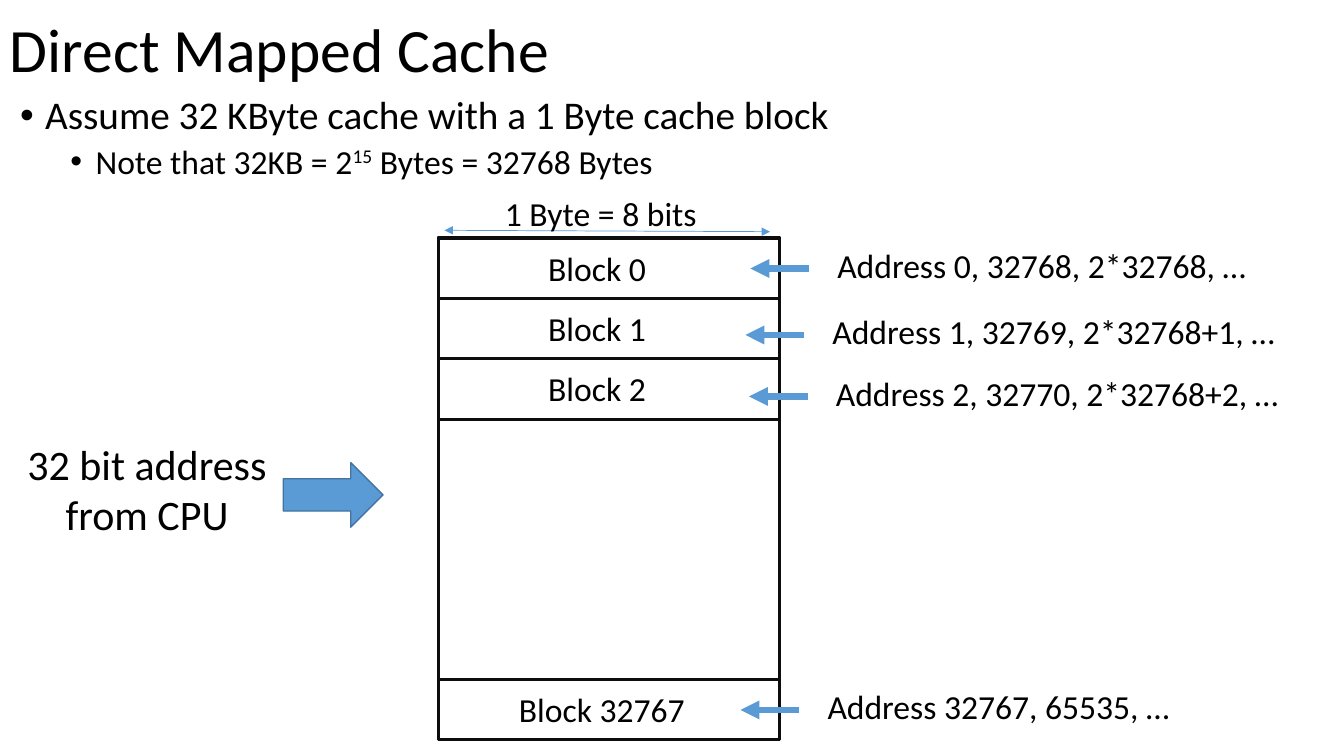
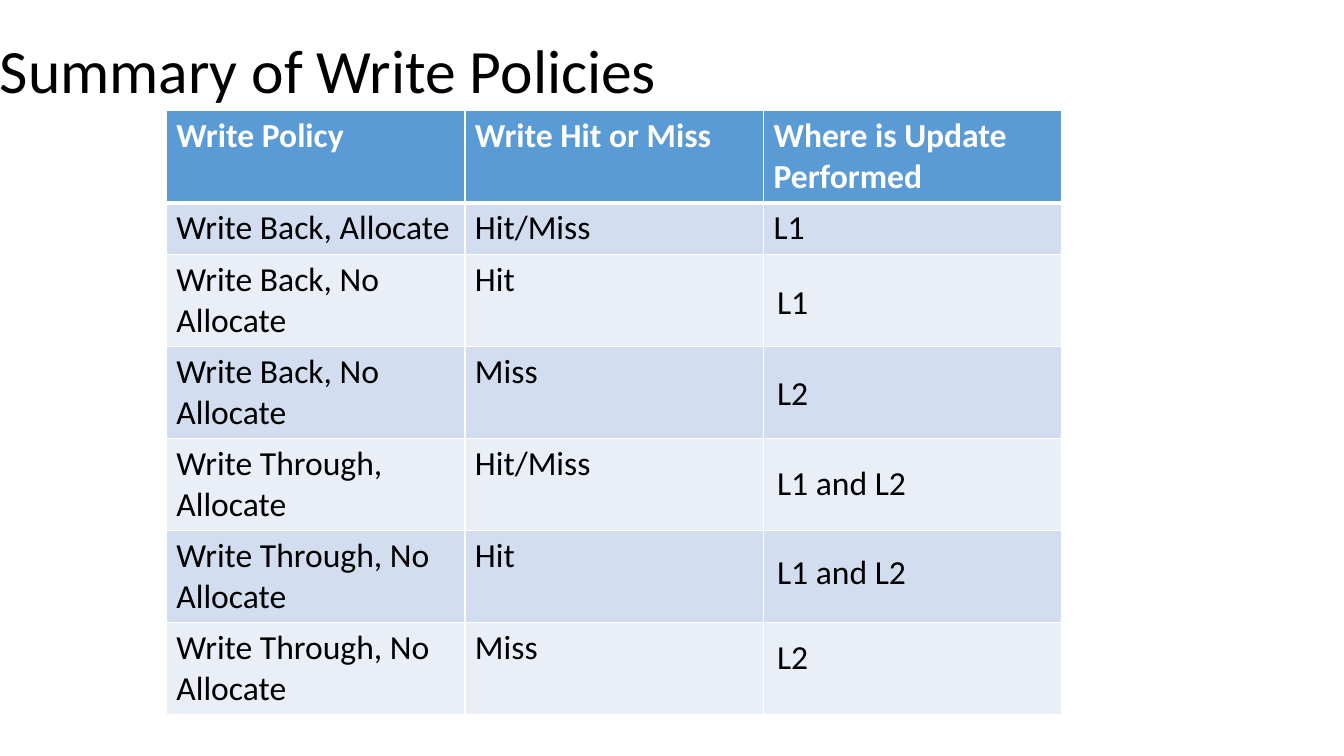
from dataclasses import dataclass

from lxml import etree
from pptx import Presentation
from pptx.dml.color import RGBColor
from pptx.enum.shapes import MSO_CONNECTOR, MSO_SHAPE
from pptx.enum.text import MSO_ANCHOR, MSO_AUTO_SIZE, PP_ALIGN
from pptx.oxml.ns import qn
from pptx.util import Pt

STRAIGHT = MSO_CONNECTOR.STRAIGHT
RECTANGLE, RIGHT_ARROW = MSO_SHAPE.RECTANGLE, MSO_SHAPE.RIGHT_ARROW
TOP, MIDDLE = MSO_ANCHOR.TOP, MSO_ANCHOR.MIDDLE
FIT_SHAPE, NO_FIT = MSO_AUTO_SIZE.SHAPE_TO_FIT_TEXT, MSO_AUTO_SIZE.NONE
LEFT, CENTER = PP_ALIGN.LEFT, PP_ALIGN.CENTER

LABEL_HEIGHT = 36


@dataclass(frozen=True)
class Theme:
    font: str = "Calibri"
    text: str = "000000"
    white: str = "FFFFFF"
    accent: str = "5B9BD5"
    accent_edge: str = "43739E"
    outline: str = "0D0D0D"
    bands: tuple = ("D2DEEF", "EAEFF7")
    title_size: float = 44
    callout_size: float = 30
    bullet_sizes: tuple = (28, 24)
    label_size: float = 24


def rgb(value):
    return RGBColor.from_string(value)


class Deck:
    """Holds the theme, the presentation and the slide being filled."""

    def __init__(self, theme):
        self.theme = theme
        self.presentation = Presentation()
        self.presentation.slide_width = Pt(960)
        self.presentation.slide_height = Pt(540)
        self.slide = None

    def new_slide(self, title, left, top):
        blank = self.presentation.slide_layouts[6]
        self.slide = self.presentation.slides.add_slide(blank)
        frame = self.frame(left, top, 828, 104.4, anchor=MIDDLE)
        paragraph = frame.paragraphs[0]
        paragraph.line_spacing = 0.9
        self.run(paragraph, title, self.theme.title_size)

    def frame(self, left, top, width, height, wrap=True, anchor=TOP):
        box = self.slide.shapes.add_textbox(Pt(left), Pt(top), Pt(width), Pt(height))
        frame = box.text_frame
        frame.word_wrap = wrap
        frame.auto_size = NO_FIT if wrap else FIT_SHAPE
        frame.vertical_anchor = anchor
        return frame

    def run(self, paragraph, text, size, color=None, bold=False, raised=False):
        run = paragraph.add_run()
        run.text = text
        font = run.font
        font.name, font.size, font.bold = self.theme.font, Pt(size), bold
        font.color.rgb = rgb(color or self.theme.text)
        if raised:
            run._r.get_or_add_rPr().set("baseline", "30000")

    def label(self, lines, left, top, width, height=LABEL_HEIGHT, size=None, align=LEFT):
        frame = self.frame(left, top, width, height, wrap=False)
        for index, line in enumerate(lines):
            paragraph = frame.add_paragraph() if index else frame.paragraphs[0]
            paragraph.alignment = align
            self.run(paragraph, line, size or self.theme.label_size)

    def bullets(self, items, left, top, width, height):
        """Each item is (level, [(text, raised), ...])."""
        frame = self.frame(left, top, width, height)
        for index, (level, runs) in enumerate(items):
            paragraph = frame.add_paragraph() if index else frame.paragraphs[0]
            paragraph.level = level
            paragraph.line_spacing = 0.9
            paragraph.space_before = Pt((10, 5)[level])
            properties = paragraph._p.get_or_add_pPr()
            properties.set("marL", str(Pt(18 + 36 * level)))
            properties.set("indent", str(Pt(-18)))
            etree.SubElement(properties, qn("a:buFont"), typeface="Arial")
            etree.SubElement(properties, qn("a:buChar"), char="•")
            for text, raised in runs:
                self.run(paragraph, text, self.theme.bullet_sizes[level], raised=raised)

    def shape(self, kind, left, top, width, height, line, weight, fill=None):
        shape = self.slide.shapes.add_shape(kind, Pt(left), Pt(top), Pt(width), Pt(height))
        shape.shadow.inherit = False
        if fill:
            shape.fill.solid()
            shape.fill.fore_color.rgb = rgb(fill)
        else:
            shape.fill.background()
        shape.line.color.rgb = rgb(line)
        shape.line.width = Pt(weight)

    def arrow(self, start, end, weight, ends=("tailEnd",)):
        connector = self.slide.shapes.add_connector(STRAIGHT, *map(Pt, start + end))
        connector.line.color.rgb = rgb(self.theme.accent)
        connector.line.width = Pt(weight)
        line = connector.line._get_or_add_ln()
        for end_name in ends:
            etree.SubElement(line, qn(f"a:{end_name}"), type="triangle")
        etree.SubElement(connector._element.spPr, qn("a:effectLst"))

    def cell_borders(self, cell, weights):
        """Draws white borders; weights are left, right, top, bottom."""
        properties = cell._tc.get_or_add_tcPr()
        for index, (side, weight) in enumerate(zip("LRTB", weights)):
            line = etree.Element(qn(f"a:ln{side}"), w=str(Pt(weight)))
            fill = etree.SubElement(line, qn("a:solidFill"))
            etree.SubElement(fill, qn("a:srgbClr"), val=self.theme.white)
            properties.insert(index, line)

    def table(self, rows, row_heights, left, top, column_width):
        columns = len(rows[0])
        table = self.slide.shapes.add_table(
            len(rows), columns, Pt(left), Pt(top),
            Pt(column_width * columns), Pt(sum(row_heights))).table
        for column in table.columns:
            column.width = Pt(column_width)
        for index, (texts, height) in enumerate(zip(rows, row_heights)):
            table.rows[index].height = Pt(height)
            header = index == 0
            fill = self.theme.accent if header else self.theme.bands[(index - 1) % 2]
            color = self.theme.white if header else self.theme.text
            for column, text in enumerate(texts):
                cell = table.cell(index, column)
                cell.fill.solid()
                cell.fill.fore_color.rgb = rgb(fill)
                self.cell_borders(cell, (1, 1, 3 if index == 1 else 1, 3 if header else 1))
                if text:
                    self.run(cell.text_frame.paragraphs[0], text,
                             self.theme.label_size, color, bold=header)


def direct_mapped_cache(deck):
    theme = deck.theme
    deck.new_slide("Direct Mapped Cache", 0, -14.4)
    deck.bullets([
        (0, [("Assume 32 KByte cache with a 1 Byte cache block", False)]),
        (1, [("Note that 32KB = 2", False), ("15", True),
             (" Bytes = 32768 Bytes", False)]),
    ], 7.2, 64.8, 846, 440.6)

    deck.shape(RIGHT_ARROW, 202.3, 330.5, 71.3, 46.1, theme.accent_edge, 1, theme.accent)
    deck.label(["32 bit address", "from CPU"], 11.5, 309.6, 187.2, 80,
               theme.callout_size, CENTER)

    cache_left, cache_top, cache_width, block_height = 313.2, 170, 243.4, 43.2
    last_top = 485.2
    deck.shape(RECTANGLE, cache_left, cache_top, cache_width,
               last_top + block_height - cache_top, theme.outline, 2.25)
    blocks = [(f"Block {n}", cache_top + n * block_height, 384.5, 85) for n in range(3)]
    blocks.append(("Block 32767", last_top, 363.6, 134))
    for name, top, label_left, label_width in blocks:
        deck.shape(RECTANGLE, cache_left, top, cache_width, block_height,
                   theme.outline, 2.25)
        deck.label([name], label_left, top + 3.2, label_width)

    for addresses, left, top, width in [
        ("Address 0, 32768, 2*32768, …", 591, 171.4, 310.3),
        ("Address 1, 32769, 2*32768+1, …", 587.5, 218.9, 333.4),
        ("Address 2, 32770, 2*32768+2, …", 590, 262.8, 333.4),
        ("Address 32767, 65535, …", 584, 486.7, 260.6),
    ]:
        deck.label([addresses], left, top, width)
        arrow_y = top + 20.4
        deck.arrow((left - 13, arrow_y), (left - 55, arrow_y), 4.5)

    deck.arrow((317.5, 164.5), (550, 165.5), 0.5, ("headEnd", "tailEnd"))
    deck.label(["1 Byte = 8 bits"], 353.5, 134.6, 152.6)


def write_policies(deck):
    deck.new_slide("Summary of Write Policies", -7.2, 0)
    one_line, two_lines = 36.5, 65.8
    deck.table([
        ("Write Policy", "Write Hit or Miss", "Where is Update Performed"),
        ("Write Back, Allocate", "Hit/Miss", "L1"),
        ("Write Back, No Allocate", "Hit", ""),
        ("Write Back, No Allocate", "Miss", ""),
        ("Write Through, Allocate", "Hit/Miss", ""),
        ("Write Through, No Allocate", "Hit", ""),
        ("Write Through, No Allocate", "Miss", ""),
    ], [two_lines, one_line] + [two_lines] * 5, 118.8, 79.2, 213.3)

    for level, top, width in [
        ("L1", 197.3, 36.7),
        ("L2", 262, 36.7),
        ("L1 and L2", 326.2, 107.3),
        ("L1 and L2", 390.2, 107.3),
        ("L2", 450.7, 36.7),
    ]:
        deck.label([level], 548, top, width)


def main():
    deck = Deck(Theme())
    direct_mapped_cache(deck)
    write_policies(deck)
    deck.presentation.save("out.pptx")


if __name__ == "__main__":
    main()
